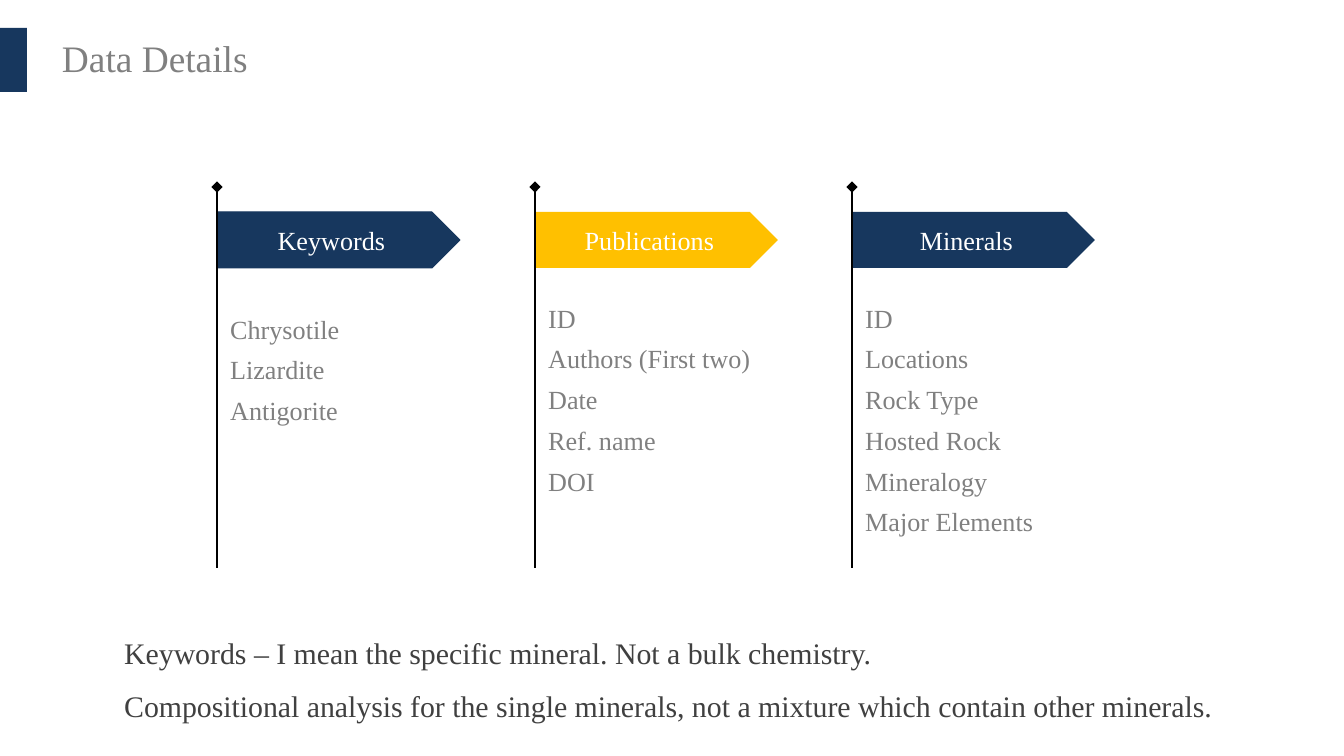
from pptx import Presentation
from pptx.dml.color import RGBColor
from pptx.enum.shapes import MSO_CONNECTOR, MSO_SHAPE
from pptx.enum.text import MSO_ANCHOR, MSO_AUTO_SIZE, PP_ALIGN
from pptx.oxml.ns import qn
from pptx.util import Pt
from lxml.etree import SubElement

FONT = "Times New Roman"
COLORS = {"navy": "17375E", "gold": "FFC000", "gray": "808080",
          "dark": "404040", "white": "FFFFFF", "black": "000000"}
RGB = {name: RGBColor.from_string(code) for name, code in COLORS.items()}
SCALE = 914400 / 134.4


def px(*nums):
    """Turn picture pixels into a list of EMU lengths."""
    return [round(n * SCALE) for n in nums]


def write(shape, lines, size, color, align, gap=1.0, anchor=MSO_ANCHOR.TOP):
    """Fill a shape with lines of text in one style."""
    frame = shape.text_frame
    frame.text = "\n".join(lines)
    frame.word_wrap = True
    frame.auto_size = MSO_AUTO_SIZE.NONE
    frame.vertical_anchor = anchor
    for para in frame.paragraphs:
        para.alignment = align
        para.line_spacing = gap
        for run in para.runs:
            run.font.name = FONT
            run.font.size = Pt(size)
            run.font.color.rgb = RGB[color]


prs = Presentation()
prs.slide_width, prs.slide_height = px(1344, 756)
slide = prs.slides.add_slide(prs.slide_layouts[5])
shapes = slide.shapes

# Title and side bar
title = shapes.title
title.left, title.top, title.width, title.height = px(47, 28, 465, 59)
write(title, ["Data Details"], 20, "gray", PP_ALIGN.LEFT)
title.text_frame.margin_left = title.text_frame.margin_right = px(15)[0]

bar = shapes.add_shape(MSO_SHAPE.RECTANGLE, *px(0, 28, 27, 64))
bar.shadow.inherit = False
bar.fill.solid()
bar.fill.fore_color.rgb = RGB["navy"]
bar.line.fill.background()

# Three columns: heading, fill, top of list, items
columns = [
    ("Keywords", "navy", 297, ["Chrysotile", "Lizardite", "Antigorite"]),
    ("Publications", "gold", 286,
     ["ID", "Authors (First two)", "Date", "Ref. name", "DOI"]),
    ("Minerals", "navy", 286,
     ["ID", "Locations", "Rock Type", "Hosted Rock", "Mineralogy",
      "Major Elements"]),
]
for i, (head, fill, top, items) in enumerate(columns):
    left = 217 + i * 318 - i // 2
    group = shapes.add_group_shape()

    flag = group.shapes.add_shape(MSO_SHAPE.PENTAGON, *px(left, 212, 243, 56))
    flag.shadow.inherit = False
    flag.fill.solid()
    flag.fill.fore_color.rgb = RGB[fill]
    if i == 0:
        flag.line.color.rgb = RGB[fill]
        flag.line.width = Pt(0.5)
    else:
        flag.line.fill.background()
    write(flag, [head], 14, "white", PP_ALIGN.CENTER, anchor=MSO_ANCHOR.MIDDLE)

    pole = group.shapes.add_connector(MSO_CONNECTOR.STRAIGHT,
                                      *px(left, 187, left, 568))
    pole.line.color.rgb = RGB["black"]
    pole.line.width = Pt(1.5)
    props = pole.element.spPr
    SubElement(props.find(qn("a:ln")), qn("a:headEnd"), type="diamond")
    SubElement(props, qn("a:effectLst"))

    box = shapes.add_textbox(*px(left, top, 243, 14 + 41 * len(items)))
    write(box, items, 14, "gray", PP_ALIGN.JUSTIFY, gap=1.3)

# Remarks
note = shapes.add_textbox(*px(111, 610, 1137, 122))
write(note, [
    "Keywords – I mean the specific mineral. Not a bulk chemistry.",
    "Compositional analysis for the single minerals, not a mixture which "
    "contain other minerals.",
], 16, "dark", PP_ALIGN.LEFT, gap=1.5)

prs.save("out.pptx")
